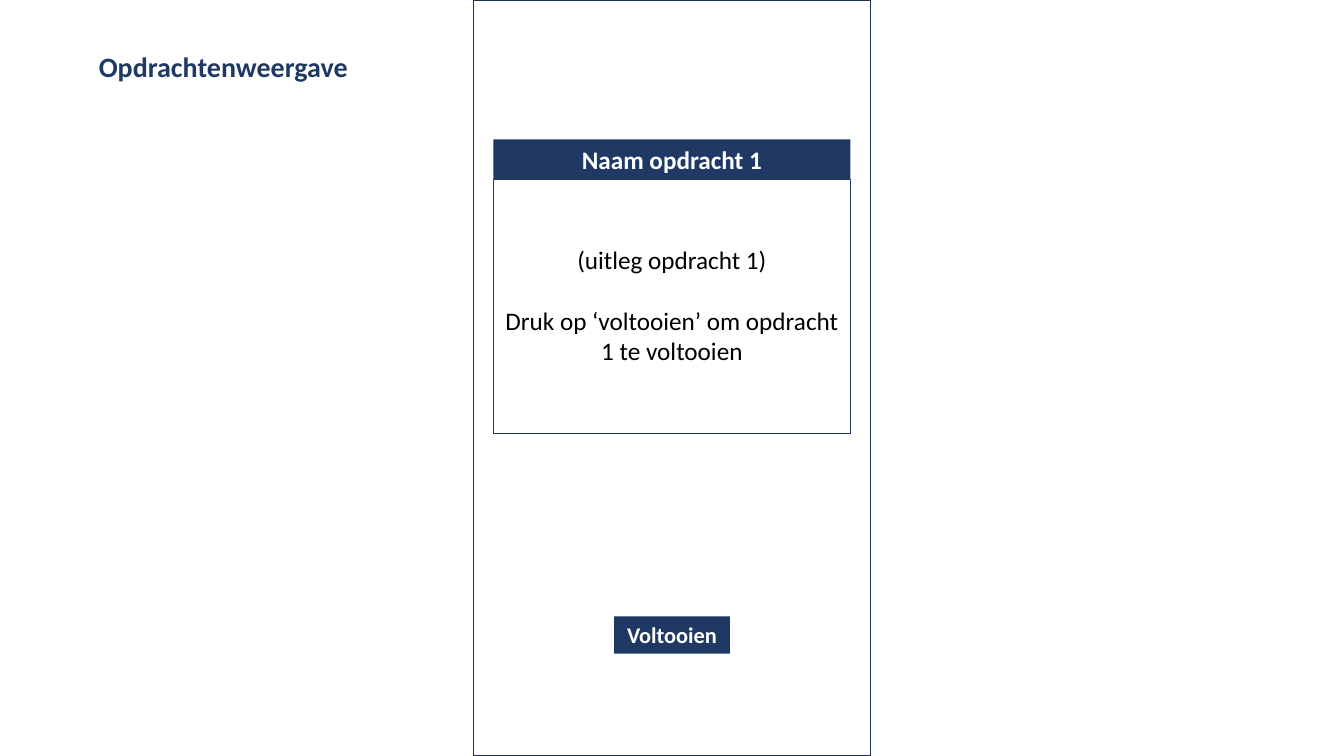
import pptx
import pptx.util
import pptx.dml.color
import pptx.enum.shapes
import pptx.enum.text
from pptx.util import Cm

COLOURS = {"navy": "203864", "frame": "1E3256", "white": "FFFFFF", "black": "000000"}
PAGE_WIDTH, PAGE_HEIGHT = 33.87, 19.05


def colour(name):
    return pptx.dml.color.RGBColor.from_string(COLOURS[name])


def write(shape, lines, size, ink, bold=True, gap=0):
    frame = shape.text_frame
    frame.word_wrap = True
    frame.vertical_anchor = pptx.enum.text.MSO_ANCHOR.MIDDLE
    frame.text = "\n".join(lines)
    for index, para in enumerate(frame.paragraphs):
        para.alignment = pptx.enum.text.PP_ALIGN.CENTER
        para.space_before = pptx.util.Pt(gap if index else 0)
        para.font.name = "Calibri"
        para.font.size = pptx.util.Pt(size)
        para.font.bold = bold
        para.font.color.rgb = colour(ink)


deck = pptx.Presentation()
deck.slide_width, deck.slide_height = Cm(PAGE_WIDTH), Cm(PAGE_HEIGHT)
page = deck.slides.add_slide(deck.slide_layouts[6])

# Page title
title = page.shapes.add_textbox(Cm(1.39), Cm(1.12), Cm(8.48), Cm(1.12))
write(title, ["Opdrachtenweergave"], 20, "navy")

# Phone screen, parts centred on the page: top, width, height, fill, line, line width
parts = {
    "screen": (0, 10, PAGE_HEIGHT, None, "frame", 1),
    "heading": (3.51, 9, 1.02, "navy", None, 0),
    "explanation": (4.53, 9, 6.4, None, "navy", 0.75),
    "button": (15.53, 2.92, 0.94, "navy", None, 0),
}
boxes = {}
for name, (top, width, height, fill, line, weight) in parts.items():
    box = page.shapes.add_shape(
        pptx.enum.shapes.MSO_SHAPE.RECTANGLE,
        Cm((PAGE_WIDTH - width) / 2), Cm(top), Cm(width), Cm(height))
    box.shadow.inherit = False
    if fill:
        box.fill.solid()
        box.fill.fore_color.rgb = colour(fill)
    else:
        box.fill.background()
    if line:
        box.line.color.rgb = colour(line)
        box.line.width = pptx.util.Pt(weight)
    else:
        box.line.fill.background()
    boxes[name] = box

# Texts on the screen
write(boxes["heading"], ["Naam opdracht 1"], 18, "white")
write(boxes["explanation"],
      ["(uitleg opdracht 1)", "Druk op ‘voltooien’ om opdracht 1 te voltooien"],
      18, "black", bold=False, gap=22)
boxes["explanation"].text_frame.margin_bottom = Cm(0.23)
write(boxes["button"], ["Voltooien"], 16, "white")

deck.save("out.pptx")
